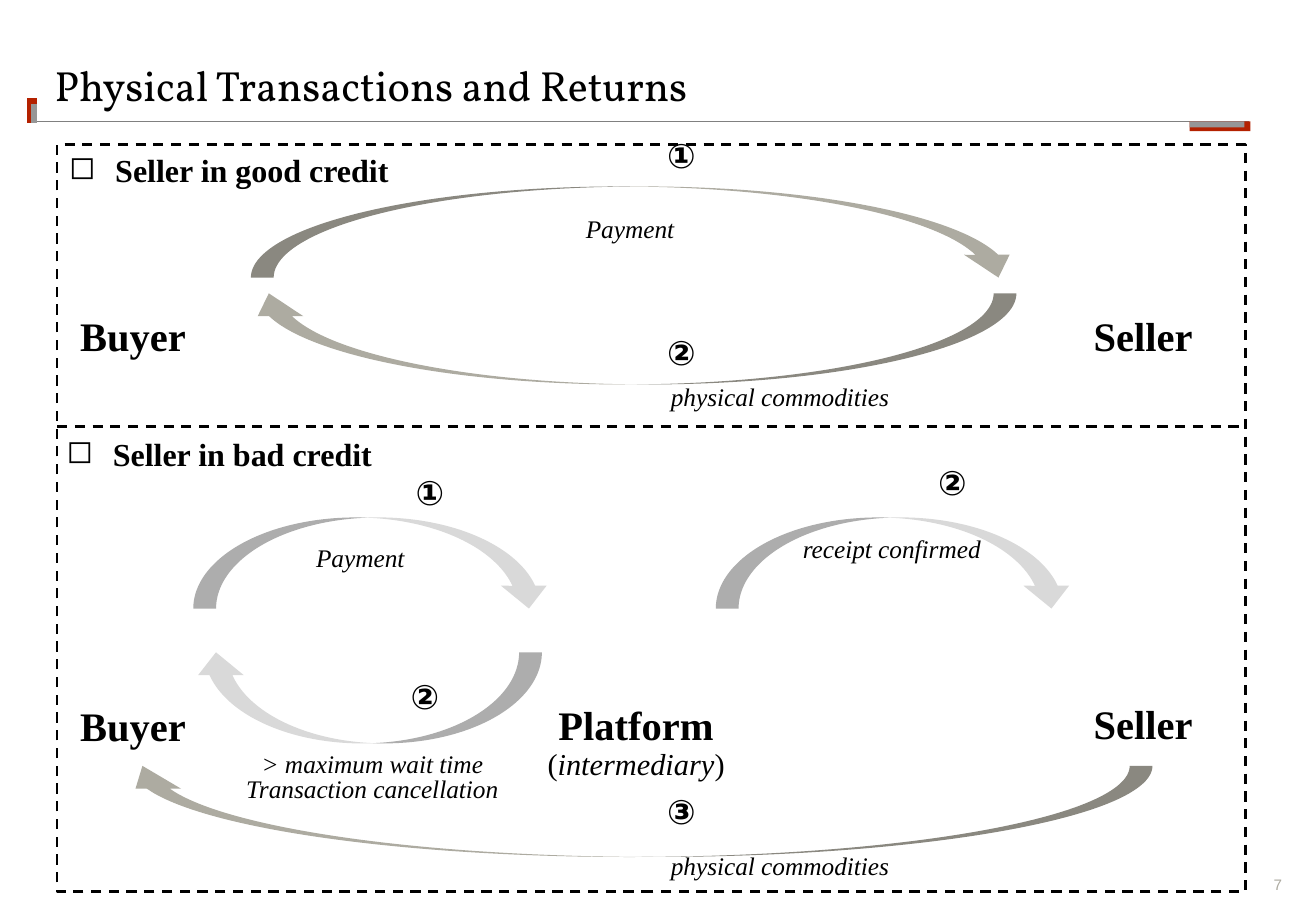
from lxml import etree
from pptx import Presentation
from pptx.dml.color import RGBColor
from pptx.enum.dml import MSO_LINE
from pptx.enum.shapes import MSO_CONNECTOR, MSO_SHAPE
from pptx.enum.text import MSO_ANCHOR, MSO_AUTO_SIZE, PP_ALIGN
from pptx.oxml.ns import qn
from pptx.util import Pt

PX = 9144  # 100 px to the inch
LEFT, CENTER, RIGHT = PP_ALIGN.LEFT, PP_ALIGN.CENTER, PP_ALIGN.RIGHT
DASH = MSO_LINE.DASH
RECTANGLE = MSO_SHAPE.RECTANGLE
CURVED_ARROW = MSO_SHAPE.CURVED_RIGHT_ARROW

BLACK, RED, GRAY, RULE = "000000", "B42100", "969696", "808080"
TAUPE, SILVER = "ADABA1", "D9D9D9"
SERIF = "Times New Roman"
OVER, UNDER = 270, 90  # rotations of arrows running right and left

TIGHT = {"margin_left": 0, "margin_right": 0, "margin_top": 0,
         "margin_bottom": 0, "word_wrap": False}
WRAPPED = {"word_wrap": True}
GROW = {"auto_size": MSO_AUTO_SIZE.SHAPE_TO_FIT_TEXT}

# Each style holds frame, paragraph and font values.
PARTY = (TIGHT | GROW, {"line_spacing": 0.9},
         {"name": SERIF, "size": Pt(24), "bold": True})
PLATFORM = (PARTY[0], PARTY[1] | {"alignment": CENTER}, PARTY[2])
STEP = (PARTY[0], PARTY[1], {"name": "Arial", "size": Pt(20), "bold": True})
HEADING = (WRAPPED | GROW, {"line_spacing": Pt(20)},
           {"name": SERIF, "size": Pt(19), "bold": True})
FLOW = (WRAPPED | GROW, {"alignment": CENTER},
        {"name": SERIF, "size": Pt(15), "italic": True})
PAYMENT = (FLOW[0], FLOW[1] | {"line_spacing": Pt(20)}, FLOW[2])
CANCELLATION = (FLOW[0], FLOW[1] | {"line_spacing": Pt(15)}, FLOW[2])
TITLE = (TIGHT | {"word_wrap": True, "vertical_anchor": MSO_ANCHOR.MIDDLE},
         {"alignment": LEFT}, {"name": "Vollkorn", "size": Pt(25)})
PAGE_NUMBER = (TIGHT | {"vertical_anchor": MSO_ANCHOR.BOTTOM},
               {"alignment": RIGHT}, {"name": "Arial", "size": Pt(9)})

NOTE = {"size": Pt(18), "bold": False}
INTERMEDIARY = [("(", NOTE), ("intermediary", NOTE | {"italic": True}), (")", NOTE)]

ARROWS = [  # unrotated left, top, width, height; rotation; colour
    ((486, -126, 75, 634), OVER, TAUPE),
    ((482, -38, 75, 634), UNDER, TAUPE),
    ((269, 316, 75, 295), OVER, SILVER),
    ((265, 431, 75, 287), UNDER, SILVER),
    ((699, 316, 75, 295), OVER, SILVER),
    ((486, 243, 75, 850), UNDER, TAUPE),
]
LABELS = [
    ((900, 580, 82, 36), ["Seller"], PARTY),
    ((66, 582, 88, 36), ["Buyer"], PARTY),
    ((66, 261, 88, 36), ["Buyer"], PARTY),
    ((900, 261, 82, 36), ["Seller"], PARTY),
    ((450, 581, 147, 64), ["Platform", INTERMEDIARY], PLATFORM),
    ((159, 615, 295, 52),
     ["> maximum wait time", "Transaction cancellation"], CANCELLATION),
    ((624, 434, 220, 35), ["receipt confirmed"], FLOW),
    ((149, 439, 295, 36), ["Payment"], PAYMENT),
    ((371, 168, 295, 36), ["Payment"], PAYMENT),
    ((526, 309, 232, 35), ["physical commodities"], FLOW),
    ((526, 695, 232, 35), ["physical commodities"], FLOW),
]
STEPS = [("①", 342, 392), ("②", 338, 560), ("②", 772, 384),
         ("③", 549, 655), ("②", 549, 277), ("①", 549, 115)]
HEADINGS = [("Seller in good credit", 47, 123), ("Seller in bad credit", 45, 357)]


def emu(lengths):
    return [length * PX for length in lengths]


def rgb(color):
    return RGBColor.from_string(color)


def apply_format(target, values):
    for name, value in values.items():
        setattr(target, name, value)


def add_bullet(paragraph):
    properties = paragraph._p.get_or_add_pPr()
    properties.set("marL", str(38 * PX))
    properties.set("indent", str(-38 * PX))
    etree.SubElement(properties, qn("a:buChar")).set("char", "◻")


def write_text(frame, lines, style, color=BLACK, bullet=False):
    """Fill a frame; a line is a string or a list of (text, font values)."""
    frame_format, paragraph_format, font_format = style
    apply_format(frame, frame_format)
    for index, line in enumerate(lines):
        paragraph = frame.add_paragraph() if index else frame.paragraphs[0]
        if bullet:
            add_bullet(paragraph)
        apply_format(paragraph, paragraph_format)
        for text, changes in [(line, {})] if isinstance(line, str) else line:
            run = paragraph.add_run()
            run.text = text
            apply_format(run.font, font_format | changes)
            run.font.color.rgb = rgb(color)


def add_label(slide, box, lines, style, **options):
    shape = slide.shapes.add_textbox(*emu(box))
    write_text(shape.text_frame, lines, style, **options)


def add_line(slide, ends, color, width, dash=None):
    line = slide.shapes.add_connector(MSO_CONNECTOR.STRAIGHT, *emu(ends))
    etree.SubElement(line._element.spPr, qn("a:effectLst"))
    line.line.color.rgb = rgb(color)
    apply_format(line.line, {"width": Pt(width), "dash_style": dash})


def add_filled(slide, kind, box, color):
    shape = slide.shapes.add_shape(kind, *emu(box))
    shape.shadow.inherit = False
    shape.fill.solid()
    shape.fill.fore_color.rgb = rgb(color)
    shape.line.fill.background()
    return shape


def add_curved_arrow(slide, box, rotation, color):
    arrow = add_filled(slide, CURVED_ARROW, box, color)
    arrow.rotation = rotation
    arrow._element.spPr.get_or_add_xfrm().set("flipH", "1")


def add_dashed_frame(slide, box):
    frame = slide.shapes.add_shape(RECTANGLE, *emu(box))
    frame.shadow.inherit = False
    frame.fill.background()
    frame.line.color.rgb = rgb(BLACK)
    apply_format(frame.line, {"width": Pt(1.5), "dash_style": DASH})


def add_title_area(slide):
    add_line(slide, (30, 100, 1028, 100), RULE, 1)
    add_line(slide, (26, 101, 26, 81), RED, 6)
    add_line(slide, (28, 101, 28, 86), GRAY, 3)
    add_filled(slide, RECTANGLE, (979, 100, 50, 8), RED)
    add_filled(slide, RECTANGLE, (979, 100, 45, 5), GRAY)
    title = slide.shapes.title
    title.left, title.top, title.width, title.height = emu((45, 40, 791, 59))
    write_text(title.text_frame, ["Physical Transactions and Returns"], TITLE)


def main():
    presentation = Presentation()
    presentation.slide_width, presentation.slide_height = emu((1083, 750))
    slide = presentation.slides.add_slide(presentation.slide_layouts[5])
    add_title_area(slide)
    add_label(slide, (1024, 721, 31, 15), ["7"], PAGE_NUMBER, color=TAUPE)
    for box, rotation, color in ARROWS:
        add_curved_arrow(slide, box, rotation, color)
    add_dashed_frame(slide, (47, 119, 978, 615))
    add_line(slide, (47, 351, 1025, 351), BLACK, 1.5, DASH)
    for box, lines, style in LABELS:
        add_label(slide, box, lines, style)
    for number, left, top in STEPS:
        add_label(slide, (left, top, 28, 30), [number], STEP)
    for heading, left, top in HEADINGS:
        add_label(slide, (left, top, 295, 38), [heading], HEADING, bullet=True)
    presentation.save("out.pptx")


if __name__ == "__main__":
    main()
